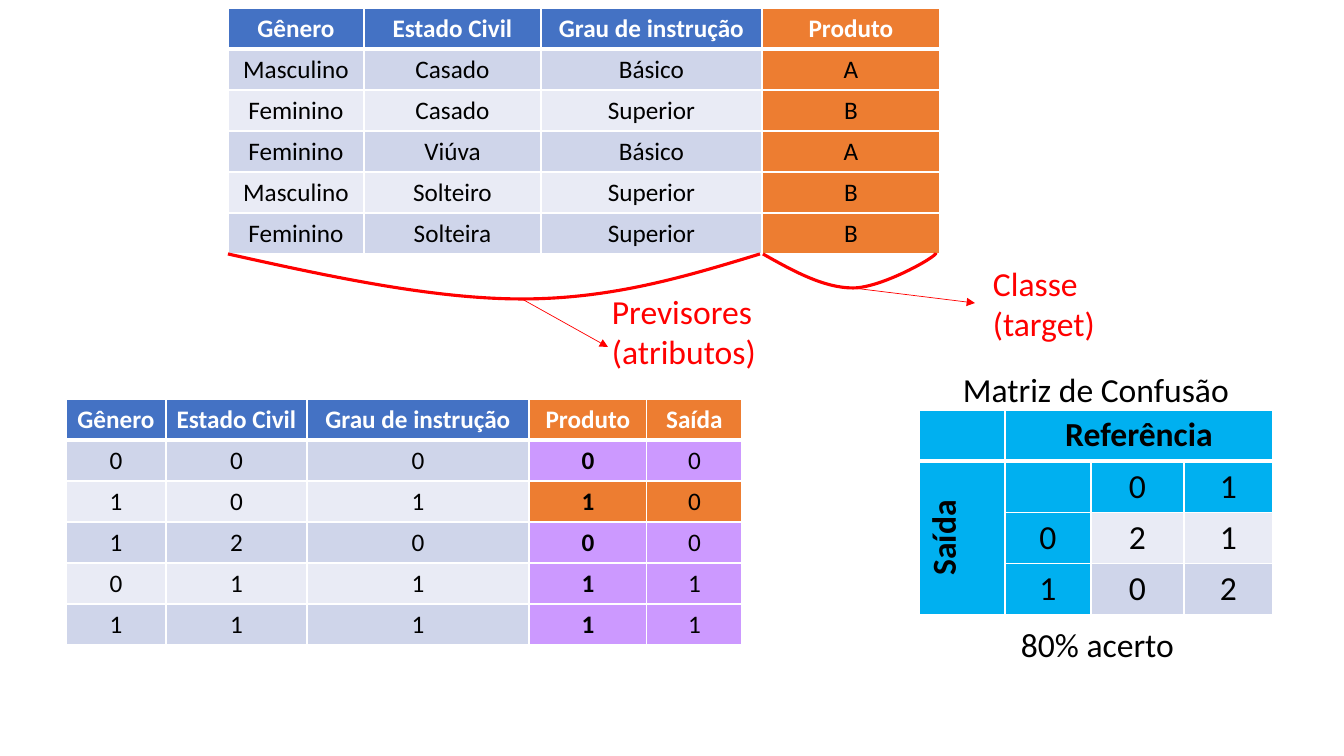
"""Build a slide on predictors, target class and confusion matrix."""
from pptx import Presentation
from pptx.dml.color import RGBColor as RGB
from pptx.enum.shapes import MSO_CONNECTOR as LINE
from pptx.enum.text import PP_ALIGN as ALIGN
from pptx.oxml.ns import qn
from pptx.util import Pt
from lxml.etree import SubElement as Sub, Element

PX = 914400 / 100.8
BLUE = RGB(0x44, 0x72, 0xC4)
ORANGE = RGB(0xED, 0x7D, 0x31)
PURPLE = RGB(0xCC, 0x99, 0xFF)
CYAN = RGB(0x00, 0xB0, 0xF0)
BANDS = [RGB(0xE9, 0xEB, 0xF5), RGB(0xCF, 0xD5, 0xEA)]
RED = RGB(0xFF, 0x00, 0x00)
BLACK = RGB(0x00, 0x00, 0x00)
WHITE = RGB(0xFF, 0xFF, 0xFF)


def px(n):
    return round(n * PX)


def write(frame, text, size=24, color=BLACK, bold=False, align=ALIGN.LEFT):
    frame.word_wrap = True
    for i, line in enumerate(text.split("\n")):
        para = frame.add_paragraph() if i else frame.paragraphs[0]
        para.alignment = align
        run = para.add_run()
        run.text = line
        font = run.font
        font.name, font.size, font.bold = "Calibri", Pt(size), bold
        font.color.rgb = color


deck = Presentation()
deck.slide_width, deck.slide_height = px(1344), px(756)
slide = deck.slides.add_slide(deck.slide_layouts[6])
shapes = slide.shapes

HEAD = ["Gênero", "Estado Civil", "Grau de instrução", "Produto"]
people = [
    HEAD,
    ["Masculino", "Casado", "Básico", "A"],
    ["Feminino", "Casado", "Superior", "B"],
    ["Feminino", "Viúva", "Básico", "A"],
    ["Masculino", "Solteiro", "Superior", "B"],
    ["Feminino", "Solteira", "Superior", "B"],
]
codes = [HEAD + ["Saída"], "00000", "10110", "12000", "01111", "11111"]
matrix = [["", "Referência", "", ""], ["Saída", "", "0", "1"],
          ["", "0", "2", "1"], ["", "1", "0", "2"]]

tables = [
    ("people", people, 228, 8, [136, 177, 221, 178], 41),
    ("codes", codes, 66, 399, [100, 141, 222, 118, 95], 41),
    ("matrix", matrix, 919, 410, [86, 86, 93, 89], 50),
]
for name, rows, left, top, widths, high in tables:
    table = shapes.add_table(len(rows), len(widths), px(left), px(top),
                             px(sum(widths)), px(high * len(rows))).table
    for col, width in zip(table.columns, widths):
        col.width = px(width)
    for r, row in enumerate(rows):
        table.rows[r].height = px(high)
        for c, text in enumerate(row):
            cell = table.cell(r, c)
            props = cell._tc.get_or_add_tcPr()
            for side in "LRTB":
                thick = (r, side) in [(0, "B"), (1, "T")]
                edge = Sub(props, qn("a:ln" + side), w=str(Pt(3 if thick else 1)))
                Sub(Sub(edge, qn("a:solidFill")), qn("a:srgbClr"), val=str(WHITE))
            fill, color, size = BANDS[r % 2], BLACK, 18
            bold = r == 0
            if name == "matrix":
                size = 24
                bold = text in ("Referência", "Saída")
                if r < 2 or c < 2:
                    fill = CYAN
            elif r == 0:
                fill, color = (ORANGE if c > 2 else BLUE), WHITE
            elif c > 2:
                hit = name == "codes" and row[3] == row[4]
                fill = PURPLE if hit else ORANGE
                bold = name == "codes" and c == 3
            cell.fill.solid()
            cell.fill.fore_color.rgb = fill
            if text:
                write(cell.text_frame, text, size=size, color=color, bold=bold,
                      align=ALIGN.CENTER)
    if name == "matrix":
        table.cell(0, 1).merge(table.cell(0, 3))
        side = table.cell(1, 0)
        side.merge(table.cell(3, 0))
        side._tc.get_or_add_tcPr().set("vert", "vert270")

curves = [
    [(228, 254), (331, 277), (434, 299), (522, 299),
     (611, 299), (685, 277), (760, 254)],
    [(763, 254), (793, 271), (824, 288), (853, 288),
     (882, 288), (938, 256), (936, 253)],
]
tips = [(608, 347), (975, 303)]
for points, tip in zip(curves, tips):
    pen = shapes.build_freeform(*points[0], scale=PX)
    pen.add_line_segments(points[1:], close=False)
    brace = pen.convert_to_shape()
    brace.shadow.inherit = False
    brace.fill.background()
    brace.line.color.rgb, brace.line.width = RED, Pt(2.25)
    steps = list(brace._element.iter(qn("a:lnTo")))
    for i in range(0, len(steps), 3):
        bend = Element(qn("a:cubicBezTo"))
        steps[i].addprevious(bend)
        for step in steps[i:i + 3]:
            bend.append(step[0])
            step.getparent().remove(step)

    ends = [px(n) for n in points[3] + tip]
    arrow = shapes.add_connector(LINE.STRAIGHT, *ends)
    arrow.line.color.rgb, arrow.line.width = RED, Pt(0.5)
    Sub(arrow.line._get_or_add_ln(), qn("a:tailEnd"), type="triangle")
    Sub(arrow._element.spPr, qn("a:effectLst"))

labels = [
    ("Previsores\n(atributos)", 602, 286, 173, 92, RED),
    ("Classe (target)", 983, 258, 173, 92, RED),
    ("Matriz de Confusão", 953, 364, 302, 50, BLACK),
    ("80% acerto", 1011, 619, 186, 50, BLACK),
]
for text, *box, color in labels:
    label = shapes.add_textbox(*[px(n) for n in box])
    write(label.text_frame, text, color=color)

deck.save("out.pptx")
